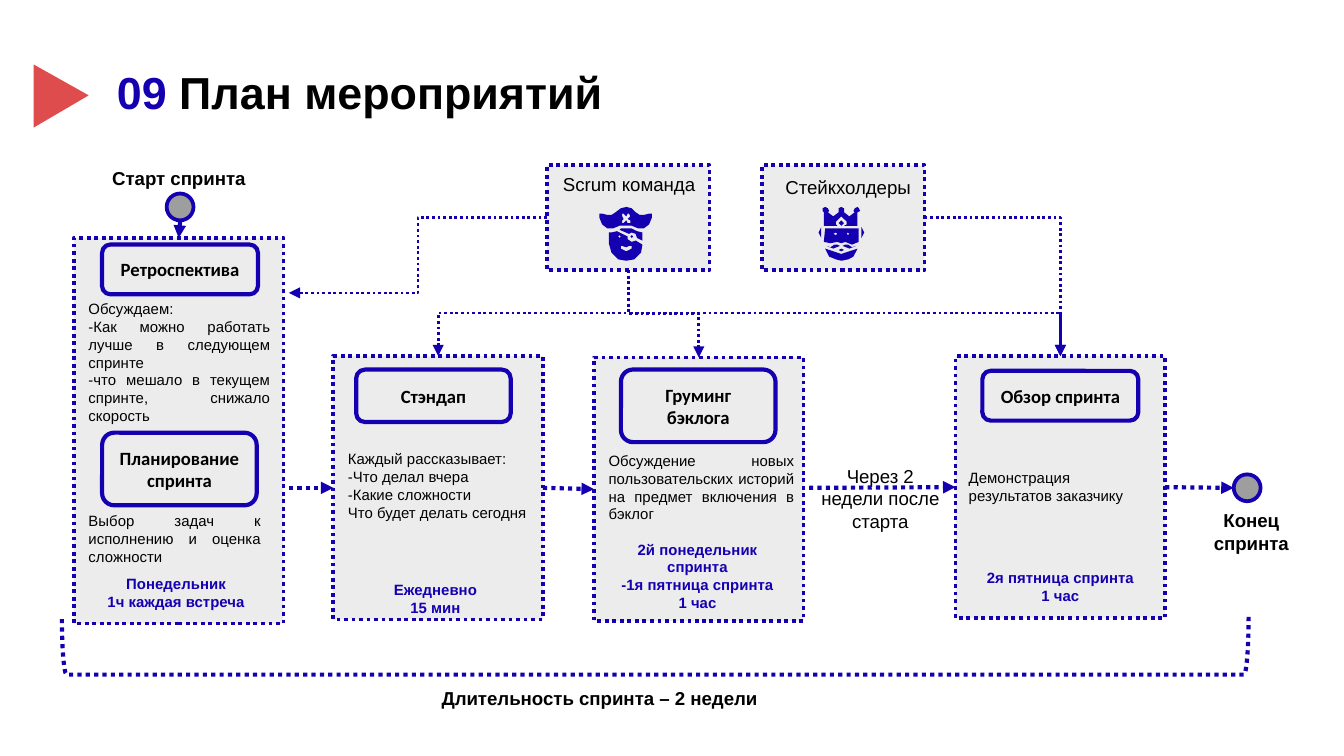
"""Builds the sprint event plan slide on a grid of 0.1 inch cells."""
import pptx
import pptx.dml.color
import pptx.enum.dml
import pptx.enum.shapes
import pptx.enum.text
import pptx.oxml
import pptx.oxml.ns
import pptx.util

COLUMNS, ROWS = 100, 56.25
CELL = 91440
BLUE = pptx.dml.color.RGBColor(0x15, 0x00, 0xB1)
BLACK = pptx.dml.color.RGBColor(0x00, 0x00, 0x00)
PALE = pptx.dml.color.RGBColor(0xEC, 0xEC, 0xEC)
GRAY = pptx.dml.color.RGBColor(0x9E, 0x9E, 0x9E)
RED = pptx.dml.color.RGBColor(0xDE, 0x4C, 0x4D)
SHAPE = pptx.enum.shapes.MSO_SHAPE
ALIGN = pptx.enum.text.PP_ALIGN
TOP, LEFT, BOTTOM, RIGHT = range(4)

CARDS = {
    "stakeholders": (56.7, 12.3, 12.1, 7.8),
    "team": (40.7, 12.3, 12.1, 7.8),
    "grooming": (44.2, 26.6, 15.6, 19.6),
    "review": (71.1, 26.5, 15.6, 19.5),
    "standup": (24.8, 26.5, 15.6, 19.6),
    "retrospective": (5.5, 17.7, 15.6, 28.7),
}
HEADINGS = [
    ("Планирование спринта", (7.6, 32.2, 11.5, 5.4)),
    ("Груминг бэклога", (46.2, 27.5, 11.5, 5.4)),
    ("Ретроспектива", (7.6, 18.2, 11.6, 3.7)),
    ("Стэндап", (26.5, 27.5, 11.5, 3.9)),
    ("Обзор спринта", (73.1, 27.6, 11.6, 3.7)),
]
DESCRIPTIONS = [
    ("Обсуждаем:\n-Как можно работать лучше в следующем спринте\n"
     "-что мешало в текущем спринте, снижало скорость", (5.6, 21.8, 15.5, 10.4), ALIGN.JUSTIFY),
    ("Выбор задач к исполнению и оценка сложности", (5.6, 37.6, 14.8, 5), ALIGN.JUSTIFY),
    ("Каждый рассказывает:\n-Что делал вчера\n-Какие сложности\nЧто будет делать сегодня",
     (24.9, 33, 15.8, 6.4), ALIGN.LEFT),
    ("Обсуждение новых пользовательских историй на предмет включения в бэклог",
     (44.3, 33.1, 15.8, 6.4), ALIGN.JUSTIFY),
    ("Демонстрация результатов заказчику", (71.1, 34.4, 15.6, 3.7), ALIGN.JUSTIFY),
]
TIMES = [
    (["Понедельник", "1ч каждая встреча"], (5.7, 42.3, 14.8, 3.7)),
    (["Ежедневно", "15 мин"], (25, 42.7, 14.8, 3.7)),
    (["2я пятница спринта", "1 час"], (71.5, 41.8, 14.8, 3.7)),
    (["2й понедельник спринта\n-1я пятница спринта", "1 час"], (44.5, 39.7, 14.8, 6.4)),
]
LABELS = [
    ("Через 2 недели после старта", (60, 34.1, 11, 6.1), False),
    ("Scrum команда", (40.7, 12.4, 12.2, 2.7), False),
    ("Стейкхолдеры", (57, 12.6, 12.2, 2.7), False),
    ("Длительность спринта – 2 недели", (30.3, 50.6, 28.6, 2.7), True),
    ("Конец спринта", (88.2, 37.4, 9.8, 4.4), True),
    ("Старт спринта", (5.9, 11.9, 14.8, 2.7), True),
]

MARKER = [[(0, 0), (0, 47), (41, 23)]]
PIRATE = [
    [[(20, 0), (16, 1), (12, 4), (9, 6), (6, 6), (2, 5), (0, 5), (0, 8), (2, 13), (6, 16),
      (10, 16), (15, 14), (24, 14), (29, 16), (33, 16), (37, 13), (39, 8), (39, 5), (37, 5),
      (33, 6), (30, 6), (27, 4), (24, 1)],
     [(22, 5), (23, 7), (21, 9), (23, 10), (23, 12), (21, 12), (20, 10), (18, 12), (17, 12),
      (17, 10), (18, 9), (17, 7), (17, 5), (18, 5), (20, 7), (21, 5)]],
    [[(13, 18), (9, 19), (7, 19), (7, 27), (9, 34), (14, 39), (20, 40), (26, 39), (31, 34),
      (32, 28), (27, 25), (24, 26), (21, 24), (21, 22)],
     [(16, 29), (17, 29), (20, 30), (22, 29), (24, 29), (24, 31), (20, 33), (16, 31)],
     [(15, 21), (16, 22), (15, 23), (14, 22)]],
    [[(16, 16), (15, 17), (22, 20), (24, 19), (27, 20), (28, 23), (32, 25), (32, 19), (28, 18),
      (24, 16)]],
    [[(24, 21), (25, 22), (24, 23), (23, 22)]],
]
EAR = [(2, 15), (0, 19), (2, 23)]
MOUSTACHE = [(14, 28), (12, 28), (9, 30), (6, 29), (11, 31), (16, 29)]
KING = [
    [[(5, 0), (3, 1), (3, 3), (4, 4), (4, 14), (14, 14), (13, 13), (13, 11), (17, 7), (21, 11),
      (21, 13), (19, 14), (29, 14), (29, 4), (31, 3), (30, 1), (29, 0), (27, 1), (26, 3),
      (27, 4), (23, 7), (19, 4), (19, 1), (17, 0), (15, 1), (15, 4), (11, 7), (7, 4), (8, 3),
      (7, 1)]],
    [[(17, 10), (15, 12), (17, 14), (19, 12)]],
    [[(5, 16), (4, 26), (9, 27), (14, 26), (17, 27), (20, 26), (25, 28), (30, 26), (30, 16)],
     [(13, 19), (14, 20), (13, 21), (11, 20)], [(22, 19), (23, 20), (22, 21), (21, 20)]],
    [[(17, 31), (15, 32), (17, 33), (19, 32)]],
    [[(29, 31), (23, 33), (17, 35), (11, 33), (5, 31), (8, 37), (13, 39), (17, 40), (22, 39),
      (26, 37)]],
] + [[part] for half in (EAR, MOUSTACHE) for part in (half, [(34 - x, y) for x, y in half])]


def cells(*lengths):
    """Converts grid cells to slide units."""
    return [pptx.util.Emu(round(length * CELL)) for length in lengths]


def add_run(paragraph, text, size, color, bold, font="Arial"):
    """Adds one formatted run."""
    run = paragraph.add_run()
    run.text = text
    run.font.name, run.font.size, run.font.bold = font, pptx.util.Pt(size), bold
    run.font.color.rgb = color


def write(shape, texts, size, color=BLACK, bold=False, alignment=ALIGN.CENTER, font="Arial"):
    """Fills a shape with paragraphs, breaking lines at newlines."""
    frame = shape.text_frame
    frame.word_wrap = True
    for index, text in enumerate(texts):
        paragraph = frame.add_paragraph() if index else frame.paragraphs[0]
        paragraph.alignment = alignment
        for number, line in enumerate(text.split("\n")):
            if number:
                paragraph.add_line_break()
            add_run(paragraph, line, size, color, bold, font)


def add_label(slide, box, texts, size, **style):
    """Adds a wrapped text box."""
    write(slide.shapes.add_textbox(*cells(*box)), texts, size, **style)


def style_line(line, width, dotted=True):
    """Gives a line the blue colour, a width and dots."""
    line.color.rgb, line.width = BLUE, pptx.util.Pt(width)
    if dotted:
        line.dash_style = pptx.enum.dml.MSO_LINE.ROUND_DOT


def add_box(slide, kind, box, fill=None, width=2.25, dotted=False):
    """Adds an outlined preset shape."""
    shape = slide.shapes.add_shape(kind, *cells(*box))
    shape.shadow.inherit = False
    if fill is None:
        shape.fill.background()
    else:
        shape.fill.solid()
        shape.fill.fore_color.rgb = fill
    style_line(shape.line, width, dotted)
    return shape


def add_heading(slide, text, box):
    """Adds a rounded event heading."""
    shape = add_box(slide, SHAPE.ROUNDED_RECTANGLE, box)
    frame = shape.text_frame
    frame.margin_top = frame.margin_bottom = cells(1)[0]
    write(shape, [text], 10, bold=True, font="Calibri")


def add_outline(shapes, contours, left, top, color):
    """Adds a filled outline whose points are tenths of a cell."""
    builder = shapes.build_freeform(*contours[0][0], scale=CELL / 10)
    for index, points in enumerate(contours):
        if index:
            builder.move_to(*points[0])
        builder.add_line_segments(points[1:], close=True)
    shape = builder.convert_to_shape(*cells(left, top))
    shape.shadow.inherit = False
    shape.fill.solid()
    shape.fill.fore_color.rgb = color
    shape.line.fill.background()


def add_icon(slide, parts, left, top):
    """Adds a grouped icon."""
    group = slide.shapes.add_group_shape()
    for contours in parts:
        add_outline(group.shapes, contours, left, top, BLUE)


def add_arrow(slide, start, end, begin=None, finish=None, elbow=False):
    """Adds a dotted arrow, joined to the given shape sides."""
    kinds = pptx.enum.shapes.MSO_CONNECTOR
    kind = kinds.ELBOW if elbow else kinds.STRAIGHT
    connector = slide.shapes.add_connector(kind, *cells(*start, *end))
    if begin:
        connector.begin_connect(*begin)
    if finish:
        connector.end_connect(*finish)
    style_line(connector.line, 1.5 if elbow else 2.25)
    properties = connector._element.spPr
    tail = pptx.oxml.ns.qn("a:tailEnd")
    outline = properties.find(pptx.oxml.ns.qn("a:ln"))
    outline.append(outline.makeelement(tail, {"type": "triangle"}))
    properties.append(properties.makeelement(pptx.oxml.ns.qn("a:effectLst"), {}))
    return connector


def add_drop(slide, source, target):
    """Adds an elbow arrow from a bottom side down to a top side."""
    connector = add_arrow(slide, (0, 0), (1, 1), (source, BOTTOM), (target, TOP), elbow=True)
    start_x, start_y, end_x, end_y = (connector.begin_x, connector.begin_y,
                                      connector.end_x, connector.end_y)
    across, down = abs(end_x - start_x), end_y - start_y
    connector.left = (start_x + end_x - down) // 2
    connector.top = (start_y + end_y - across) // 2
    connector.width, connector.height = down, across
    transform = connector._element.spPr.xfrm
    rightward = end_x > start_x
    transform.rot, transform.flipH, transform.flipV = 270 if rightward else 90, rightward, False


def add_flow(slide, cards):
    """Joins the events and the participants with arrows."""
    team, review = cards["team"], cards["review"]
    add_arrow(slide, (13.4, 16.5), (13.3, 17.7), finish=(cards["retrospective"], TOP))
    add_arrow(slide, (21.5, 36.3), (24.8, 36.3), finish=(cards["standup"], LEFT))
    add_arrow(slide, (40.4, 36.3), (44.2, 36.3), (cards["standup"], RIGHT),
              (cards["grooming"], LEFT))
    add_arrow(slide, (60.2, 36.3), (71.1, 36.3), finish=(review, LEFT))
    add_arrow(slide, (86.7, 36.3), (91.8, 36.3), (review, RIGHT))
    add_arrow(slide, (40.7, 16.2), (21.5, 21.8), (team, LEFT), elbow=True)
    for name in ("standup", "grooming", "review"):
        add_drop(slide, team, cards[name])
    corner = add_arrow(slide, (68.8, 16.2), (78.9, 26.5), (cards["stakeholders"], RIGHT),
                       (review, TOP), elbow=True)
    geometry = corner._element.spPr.find(pptx.oxml.ns.qn("a:prstGeom"))
    geometry.set("prst", "bentConnector2")


def add_title(slide):
    """Places the numbered title."""
    title = slide.shapes.title
    title.left, title.top, title.width, title.height = cells(7.7, 3.8, 84.5, 6.3)
    frame = title.text_frame
    frame.vertical_anchor = pptx.enum.text.MSO_ANCHOR.TOP
    frame.margin_top = frame.margin_bottom = cells(1)[0]
    paragraph = frame.paragraphs[0]
    paragraph.alignment = ALIGN.LEFT
    add_run(paragraph, "09 ", 24, BLUE, True)
    add_run(paragraph, "План мероприятий", 24, BLACK, True)


def main():
    """Builds and saves the slide."""
    presentation = pptx.Presentation()
    presentation.slide_width, presentation.slide_height = cells(COLUMNS, ROWS)
    slide = presentation.slides.add_slide(presentation.slide_layouts[5])
    add_title(slide)
    add_outline(slide.shapes, MARKER, 2.5, 4.8, RED)
    cards = {name: add_box(slide, SHAPE.RECTANGLE, box, PALE, 2, True)
             for name, box in CARDS.items()}
    for left, top in ((12.4, 14.4), (91.8, 35.3)):
        add_box(slide, SHAPE.OVAL, (left, top, 2, 2), GRAY, 2)
    for text, box in HEADINGS:
        add_heading(slide, text, box)
    for text, box, alignment in DESCRIPTIONS:
        add_label(slide, box, [text], 8, alignment=alignment)
    for texts, box in TIMES:
        add_label(slide, box, texts, 8, color=BLUE, bold=True)
    for text, box, bold in LABELS:
        add_label(slide, box, [text], 10, bold=bold)
    add_box(slide, SHAPE.RIGHT_BRACKET, (46.6, 3.9, 4.3, 88.3), dotted=True).rotation = 90
    add_icon(slide, PIRATE, 44.6, 15.4)
    add_icon(slide, KING, 60.9, 15.4)
    add_flow(slide, cards)
    presentation.save("out.pptx")


if __name__ == "__main__":
    main()
